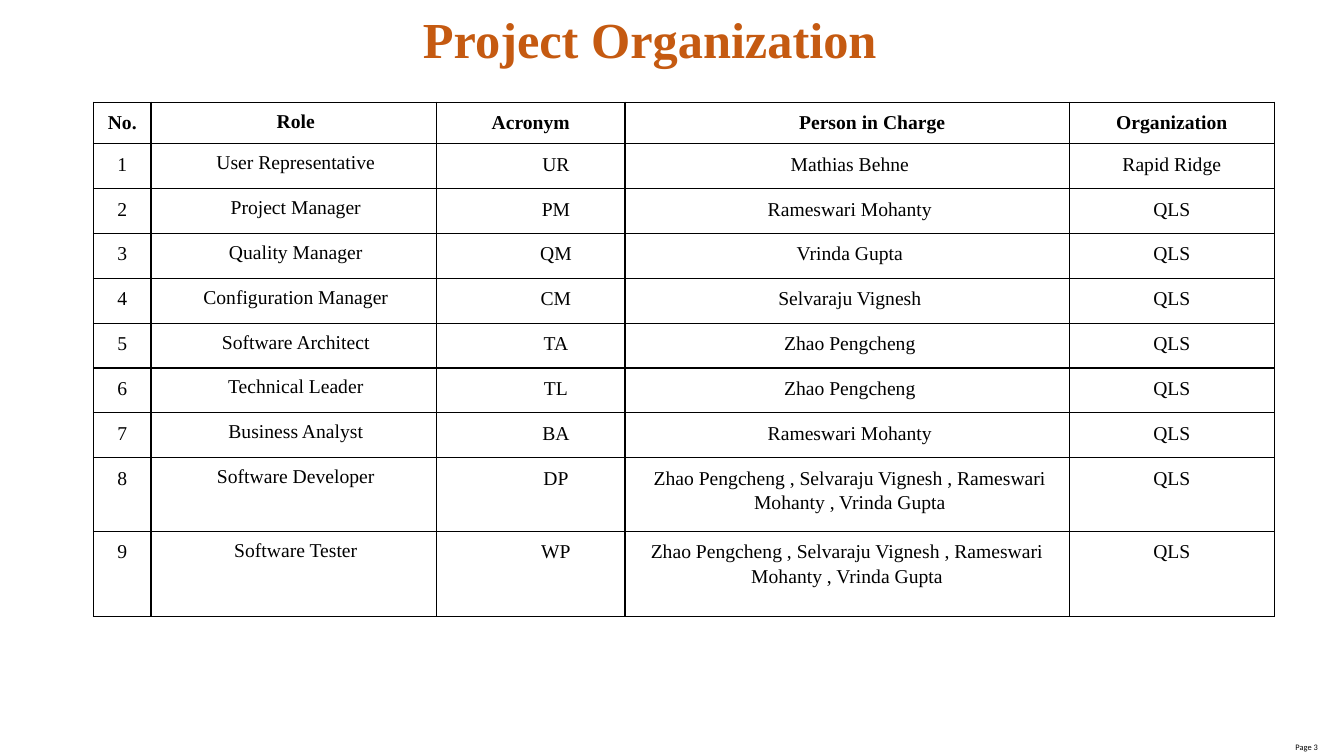
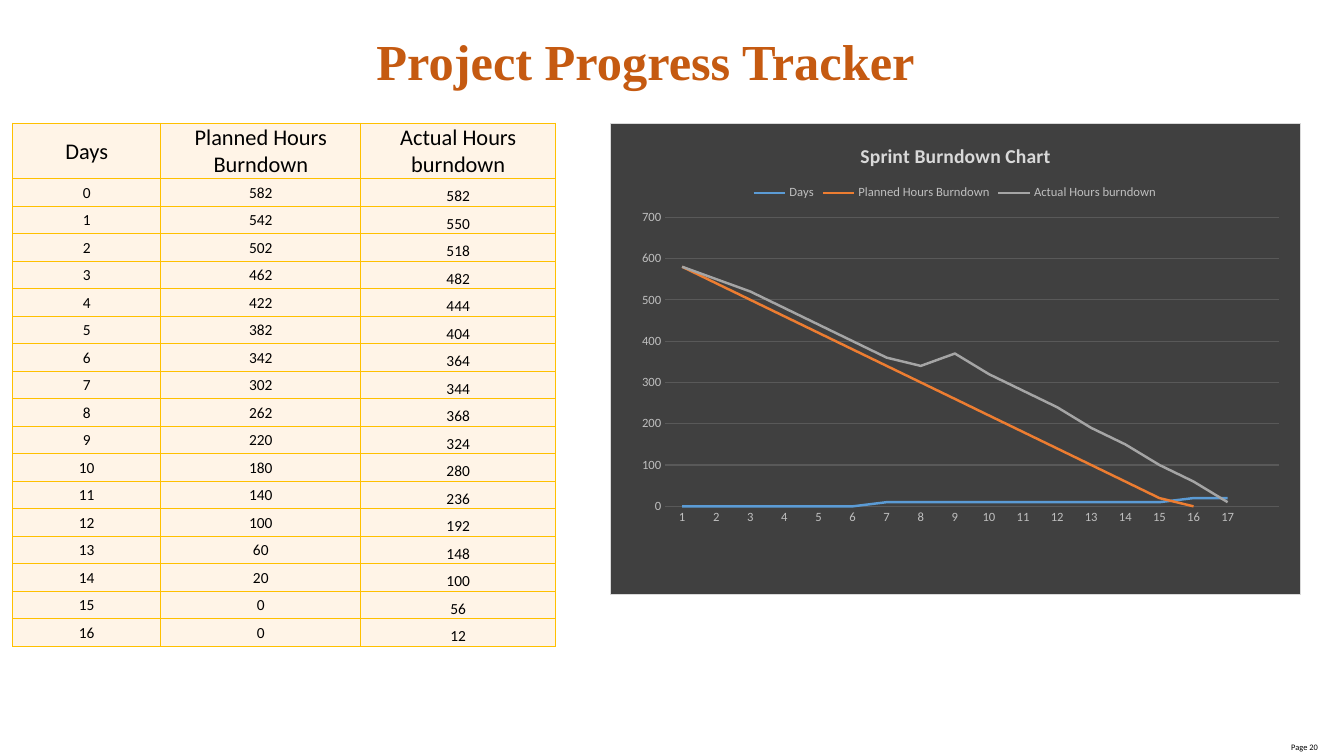
"""Build the project organization and sprint progress slides."""
import pptx
import pptx.chart.data
import pptx.dml.color
import pptx.enum.chart
import pptx.enum.text
import pptx.oxml
import pptx.oxml.ns
import pptx.util

Pt = pptx.util.Pt
RGBColor = pptx.dml.color.RGBColor
PP_ALIGN = pptx.enum.text.PP_ALIGN
MSO_ANCHOR = pptx.enum.text.MSO_ANCHOR
qn = pptx.oxml.ns.qn

ORANGE = RGBColor(0xC5, 0x5A, 0x11)
BLACK = RGBColor(0, 0, 0)
GOLD = RGBColor(0xFF, 0xC0, 0x00)
CREAM = RGBColor(0xFF, 0xF4, 0xE7)
CHARCOAL = RGBColor(0x40, 0x40, 0x40)
GRID_GREY = RGBColor(0x59, 0x59, 0x59)
LABEL_GREY = RGBColor(0xBF, 0xBF, 0xBF)
PALE_GREY = RGBColor(0xD9, 0xD9, 0xD9)
SERIES_COLORS = [
    RGBColor(0x5B, 0x9B, 0xD5),
    RGBColor(0xED, 0x7D, 0x31),
    RGBColor(0xA5, 0xA5, 0xA5),
]
SERIF = "Times New Roman"
SANS = "Calibri"


def set_font(font, name, size, color, bold=False):
    font.name = name
    font.size = Pt(size)
    font.color.rgb = color
    font.bold = bold


def add_grid(slide, rows, left, top, widths, heights, border, inset, fill=None):
    table = slide.shapes.add_table(
        len(rows), len(widths), Pt(left), Pt(top), Pt(sum(widths)), Pt(sum(heights))
    ).table
    table.first_row = False
    table.horz_banding = False
    for column, width in zip(table.columns, widths):
        column.width = Pt(width)
    for row, height, texts in zip(table.rows, heights, rows):
        row.height = Pt(height)
        for cell, text in zip(row.cells, texts):
            cell.text_frame.text = str(text)
            cell.text_frame.paragraphs[0].alignment = PP_ALIGN.CENTER
            cell.margin_left = cell.margin_right = cell.margin_top = Pt(inset)
            properties = cell._tc.get_or_add_tcPr()
            for side in ("lnL", "lnR", "lnT", "lnB"):
                properties.append(pptx.oxml.parse_xml(
                    f'<a:{side} {pptx.oxml.ns.nsdecls("a")} w="{Pt(1)}"><a:solidFill>'
                    f'<a:srgbClr val="{border}"/></a:solidFill></a:{side}>'
                ))
            if fill is None:
                cell.fill.background()
            else:
                cell.fill.solid()
                cell.fill.fore_color.rgb = fill
    return table


deck = pptx.Presentation()
deck.slide_width = Pt(960)
deck.slide_height = Pt(540)

slides = []
for heading, left, top, page in [
    ("Project Organization", 186.2, 2, "Page 3"),
    ("Project Progress Tracker", 183.2, 18, "Page 20"),
]:
    slide = deck.slides.add_slide(deck.slide_layouts[5])
    slides.append(slide)
    title = slide.shapes.title
    title.left, title.top, title.width, title.height = Pt(left), Pt(top), Pt(556), Pt(51)
    title.text_frame.text = heading
    title.text_frame.auto_size = pptx.enum.text.MSO_AUTO_SIZE.NONE
    title.text_frame.vertical_anchor = MSO_ANCHOR.TOP
    title.text_frame.paragraphs[0].alignment = PP_ALIGN.CENTER
    set_font(title.text_frame.paragraphs[0].runs[0].font, SERIF, 36, ORANGE, True)

    footer = slide.shapes.add_textbox(Pt(910.4), Pt(526.2), Pt(38), Pt(14)).text_frame
    footer.word_wrap = True
    footer.text = page
    footer.paragraphs[0].alignment = PP_ALIGN.RIGHT
    set_font(footer.paragraphs[0].runs[0].font, SANS, 6, BLACK)

organization_slide, progress_slide = slides

TEAM = "Zhao Pengcheng , Selvaraju Vignesh , Rameswari Mohanty , Vrinda Gupta"
members = [
    ("User Representative", "UR", "Mathias Behne"),
    ("Project Manager", "PM", "Rameswari Mohanty"),
    ("Quality Manager", "QM", "Vrinda Gupta"),
    ("Configuration Manager", "CM", "Selvaraju Vignesh"),
    ("Software Architect", "TA", "Zhao Pengcheng"),
    ("Technical Leader", "TL", "Zhao Pengcheng"),
    ("Business Analyst", "BA", "Rameswari Mohanty"),
    ("Software Developer", "DP", TEAM),
    ("Software Tester", "WP", TEAM),
]
organization_rows = [("No.", "Role", "Acronym", "Person in Charge", "Organization")]
for number, member in enumerate(members, 1):
    organization_rows.append((number, *member, "Rapid Ridge" if number == 1 else "QLS"))

organization = add_grid(
    organization_slide, organization_rows, 66.8, 73, [41, 204, 134.7, 317.2, 146.8],
    [29.7] + [32.05] * 7 + [52.5, 60.7], BLACK, 5,
)
HEADER_INDENTS = [0, 3, 0, 36, 0]
BODY_INDENTS = [0, 3, 36, 4, 0]
for row_index, row in enumerate(organization.rows):
    indents = BODY_INDENTS if row_index else HEADER_INDENTS
    for column_index, cell in enumerate(row.cells):
        cell.margin_bottom = Pt(5)
        paragraph = cell.text_frame.paragraphs[0]
        paragraph.line_spacing = 1.07 if column_index == 1 else 1.14
        paragraph.space_after = Pt(9)
        paragraph._p.get_or_add_pPr().set("marL", str(Pt(indents[column_index])))
        set_font(paragraph.runs[0].font, SERIF, 14, BLACK, row_index == 0)
organization.cell(9, 3).text_frame.paragraphs[0]._p.get_or_add_pPr().set("marL", "0")

days = list(range(17))
planned = [582, 542, 502, 462, 422, 382, 342, 302, 262, 220, 180, 140, 100, 60, 20, 0, 0]
actual = [582, 550, 518, 482, 444, 404, 364, 344, 368, 324, 280, 236, 192, 148, 100, 56, 12]
burndown_names = ["Days", "Planned Hours Burndown", "Actual Hours burndown"]

CHART_WIDTH, CHART_HEIGHT = 493.5, 337
burndown_data = pptx.chart.data.CategoryChartData()
burndown_data.categories = [str(number) for number in range(1, 18)] + [""]
for name, values in zip(burndown_names, [days, planned[:-1], actual]):
    tens = [round(value, -1) for value in values]
    burndown_data.add_series(name, tens + [None] * (18 - len(tens)))
burndown = progress_slide.shapes.add_chart(
    pptx.enum.chart.XL_CHART_TYPE.LINE, Pt(436), Pt(88),
    Pt(CHART_WIDTH), Pt(CHART_HEIGHT), burndown_data,
).chart
set_font(burndown.font, SANS, 10, BLACK)
burndown.has_title = True
burndown.chart_title.text_frame.text = "Sprint Burndown Chart"
set_font(
    burndown.chart_title.text_frame.paragraphs[0].runs[0].font, SANS, 14, PALE_GREY, True
)
burndown.has_legend = True
burndown.legend.position = pptx.enum.chart.XL_LEGEND_POSITION.TOP
burndown.legend.include_in_layout = False
set_font(burndown.legend.font, SANS, 9, LABEL_GREY)

for axis in (burndown.category_axis, burndown.value_axis):
    axis.major_tick_mark = axis.minor_tick_mark = pptx.enum.chart.XL_TICK_MARK.NONE
    axis.format.line.fill.background()
    set_font(axis.tick_labels.font, SANS, 9, LABEL_GREY)
hours_axis = burndown.value_axis
hours_axis.minimum_scale = 0
hours_axis.maximum_scale = 700
hours_axis.major_unit = 100
hours_axis.has_major_gridlines = True
hours_axis.major_gridlines.format.line.color.rgb = GRID_GREY
hours_axis.major_gridlines.format.line.width = Pt(0.75)

burndown.plots[0].vary_by_categories = False
for series, color in zip(burndown.plots[0].series, SERIES_COLORS):
    series.smooth = False
    series.format.line.color.rgb = color
    series.format.line.width = Pt(1.75)

chart_space = burndown._chartSpace
chart_space.find(qn("c:chart")).addnext(pptx.oxml.parse_xml(
    f'<c:spPr {pptx.oxml.ns.nsdecls("c", "a")}>'
    f'<a:solidFill><a:srgbClr val="{CHARCOAL}"/></a:solidFill><a:ln w="{Pt(0.75)}">'
    f'<a:solidFill><a:srgbClr val="{PALE_GREY}"/></a:solidFill></a:ln></c:spPr>'
))
chart_space.find(qn("c:date1904")).addnext(pptx.oxml.parse_xml(
    f'<c:roundedCorners {pptx.oxml.ns.nsdecls("c")} val="0"/>'
))
for tag, position, frame in [
    ("c:title", 1, {"x": 176, "y": 11}),
    ("c:legend", 1, {"x": 98.7, "y": 39.5, "w": 294.5, "h": 20}),
    ("c:plotArea", 0, {"x": 38.8, "y": 67, "w": 439, "h": 207}),
]:
    part = chart_space.find(qn("c:chart")).find(qn(tag))
    for automatic in part.findall(qn("c:layout")):
        part.remove(automatic)
    target = '<c:layoutTarget val="inner"/>' if tag == "c:plotArea" else ""
    modes = "".join(f'<c:{key}Mode val="edge"/>' for key in "xy")
    sizes = "".join(
        f'<c:{key} val="{length / (CHART_WIDTH if key in "xw" else CHART_HEIGHT):.4f}"/>'
        for key, length in frame.items()
    )
    part.insert(position, pptx.oxml.parse_xml(
        f'<c:layout {pptx.oxml.ns.nsdecls("c")}><c:manualLayout>'
        f'{target}{modes}{sizes}</c:manualLayout></c:layout>'
    ))

hours = add_grid(
    progress_slide, [burndown_names, *zip(days, planned, actual)], 9, 88,
    [105.8, 143, 139], [39.6] + [19.67] * 17, GOLD, 0.7, CREAM,
)
for row_index, row in enumerate(hours.rows):
    for column_index, cell in enumerate(row.cells):
        cell.margin_bottom = Pt(0)
        cell.vertical_anchor = MSO_ANCHOR.BOTTOM if column_index == 2 else MSO_ANCHOR.MIDDLE
        set_font(
            cell.text_frame.paragraphs[0].runs[0].font, SANS, 11 if row_index else 16, BLACK
        )

deck.save("out.pptx")
